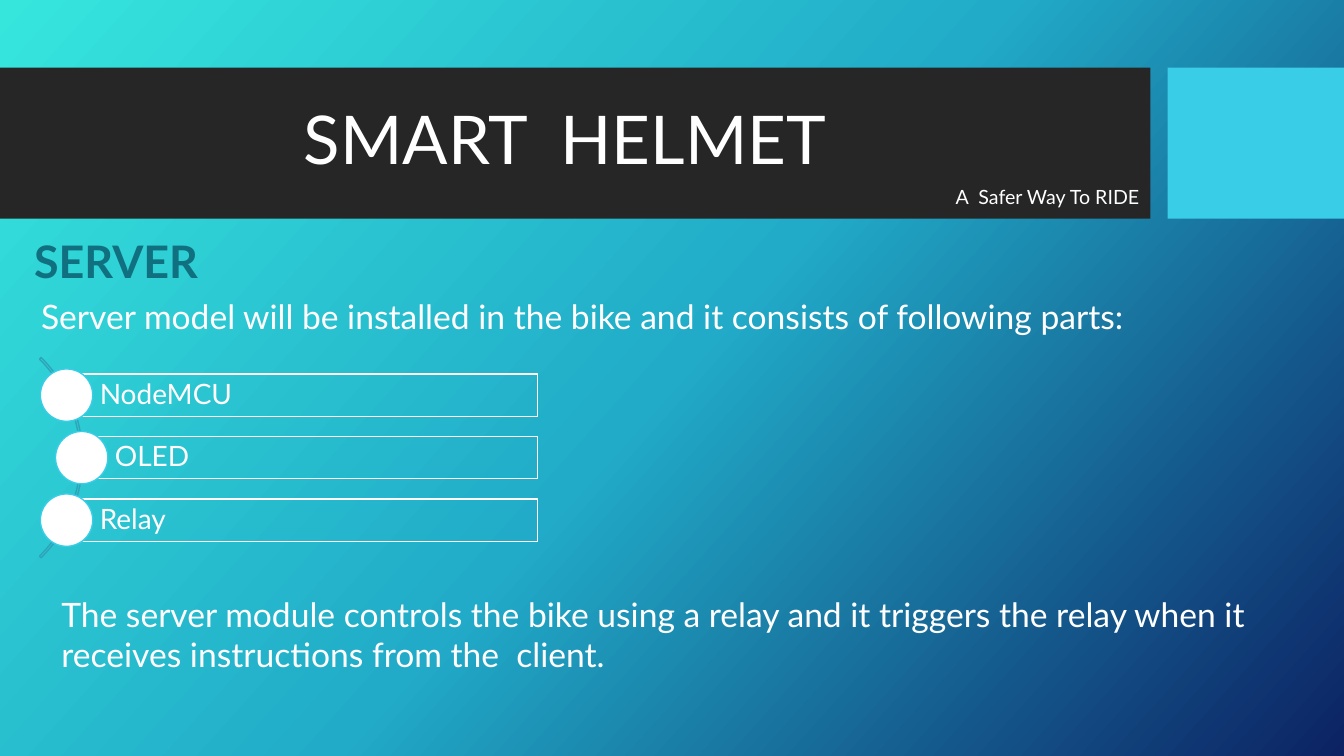
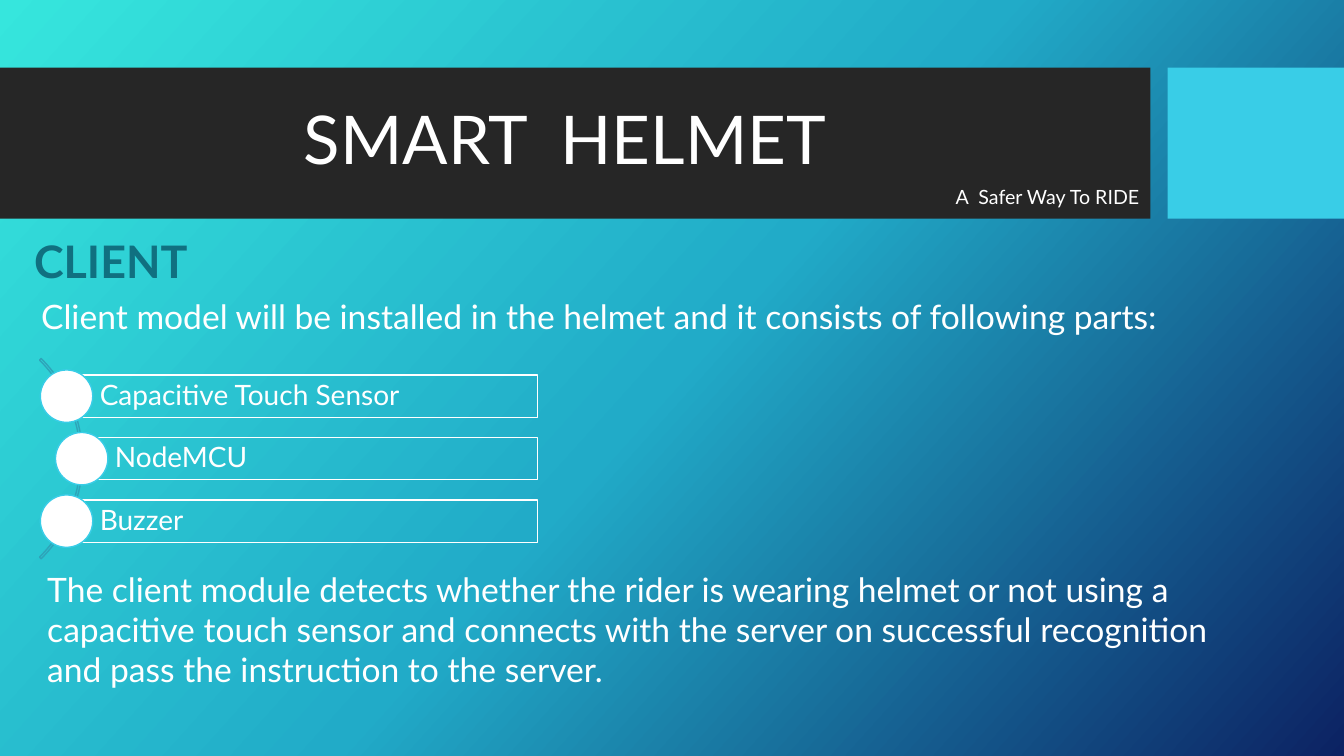
import copy
from dataclasses import dataclass

import pptx
import pptx.dml.color
import pptx.enum.shapes
import pptx.enum.text
import pptx.util

Inches = pptx.util.Inches
Shape = pptx.enum.shapes.MSO_SHAPE
Align = pptx.enum.text.PP_ALIGN
Anchor = pptx.enum.text.MSO_ANCHOR

TITLE = "SMART  HELMET"
TAGLINE = "A  Safer Way To RIDE"
SLIDES = [
    {
        "heading": "SERVER",
        "intro": "Server model will be installed in the bike and it consists of "
                 "following parts:",
        "parts": ["NodeMCU", "OLED", "Relay"],
        "parts_middle": 4.54,
        "summary": "The server module controls the bike using a relay and it triggers "
                   "the relay when it receives instructions from the  client.",
        "summary_box": (0.51, 5.84, 12.31, 0.91),
    },
    {
        "heading": "CLIENT",
        "intro": "Client model will be installed in the helmet and it consists of "
                 "following parts:",
        "parts": ["Capacitive Touch Sensor", "NodeMCU", "Buzzer"],
        "parts_middle": 4.55,
        "summary": "The client module detects whether the rider is wearing helmet or "
                   "not using a capacitive touch sensor and connects with the server on "
                   "successful recognition and pass the instruction to the server.",
        "summary_box": (0.37, 5.59, 11.89, 1.31),
    },
]


@dataclass(frozen=True)
class Theme:
    font: str = "Lato"
    white: str = "FFFFFF"
    band: str = "262626"
    accent: str = "39CDE7"
    arc: str = "2EA4B9"
    heading: str = "107080"
    gradient: tuple = ((0, "36E6DD"), (0.5, "21ABC8"), (1, "0C2263"))
    gradient_angle: int = 42
    title_size: int = 48
    heading_size: int = 32
    body_size: int = 24
    part_size: int = 20
    tagline_size: int = 14


THEME = Theme()
WIDTH, HEIGHT = 13.33, 7.5
BAND_TOP, BAND_HEIGHT, BAND_WIDTH, BAND_GAP = 0.67, 1.5, 11.41, 0.17
TITLE_BOX = (2.28, 0.93, 6.65, 0.98)
TAGLINE_BOX = (9.38, 1.81, 3.29, 0.47)
HEADING_BOX = (0.24, 2.27, 2.06, 0.64)
INTRO_BOX = (0.31, 2.89, 12.44, 0.5)
PART_PITCH, PART_HEIGHT, PART_RIGHT = 0.62, 0.42, 5.33
PART_LEFTS = (0.66, 0.81, 0.66)
DOT_SIZE = 0.52
ARC_LEFT, ARC_SIZE = -1.99, 2.81
ARC_ADJUSTMENTS = (189, 27, 0.008)


def rgb(value):
    return pptx.dml.color.RGBColor.from_string(value)


def apply(target, formats):
    for name, value in formats.items():
        setattr(target, name, value)


def place(shape, box):
    apply(shape, dict(zip(("left", "top", "width", "height"), map(Inches, box))))


def write(shape, text, size, color=THEME.white, bold=False, paragraph_format=None,
          **frame_format):
    frame = shape.text_frame
    apply(frame, {"word_wrap": True, "auto_size": pptx.enum.text.MSO_AUTO_SIZE.NONE,
                  "vertical_anchor": Anchor.TOP, **frame_format})
    frame.text = text
    paragraph = frame.paragraphs[0]
    apply(paragraph, {"alignment": Align.LEFT, **(paragraph_format or {})})
    apply(paragraph.font, {"name": THEME.font, "size": pptx.util.Pt(size), "bold": bold})
    paragraph.font.color.rgb = rgb(color)


def add_text(slide, box, text, size, **formats):
    write(slide.shapes.add_textbox(*map(Inches, box)), text, size, **formats)


def add_shape(slide, kind, box, fill=None, line=None):
    shape = slide.shapes.add_shape(kind, *map(Inches, box))
    shape.shadow.inherit = False
    if fill:
        shape.fill.solid()
        shape.fill.fore_color.rgb = rgb(fill)
    else:
        shape.fill.background()
    if line:
        shape.line.color.rgb = rgb(line)
        shape.line.width = pptx.util.Pt(1)
    else:
        shape.line.fill.background()
    return shape


def set_background(master):
    fill = master.background.fill
    fill.gradient()
    fill.gradient_angle = 360 - THEME.gradient_angle
    stop_list = fill.gradient_stops._gsLst
    stop_list.insert(1, copy.deepcopy(stop_list[0]))
    for stop, (position, color) in zip(fill.gradient_stops, THEME.gradient):
        stop.position = position
        stop.color.rgb = rgb(color)


def add_master_bands(slide, master):
    """Draw the bands on a slide, then move them behind everything on the master."""
    accent_left = BAND_WIDTH + BAND_GAP
    bands = ((0, BAND_WIDTH, THEME.band),
             (accent_left, WIDTH - accent_left, THEME.accent))
    for index, (left, width, color) in enumerate(bands):
        band = add_shape(slide, Shape.RECTANGLE,
                         (left, BAND_TOP, width, BAND_HEIGHT), color)
        master.shapes._spTree.insert(2 + index, band._element)


def add_parts(slide, parts, middle):
    """Draw the arc and, along it, one dot and one labelled bar for each part."""
    arc = add_shape(slide, Shape.BLOCK_ARC,
                    (ARC_LEFT, middle - ARC_SIZE / 2, ARC_SIZE, ARC_SIZE),
                    line=THEME.arc)
    for index, value in enumerate(ARC_ADJUSTMENTS):
        arc.adjustments[index] = value
    margins = {"margin_left": Inches(0.33),
               **{f"margin_{side}": Inches(0.06) for side in ("top", "right", "bottom")}}
    for index, (part, left) in enumerate(zip(parts, PART_LEFTS)):
        center = middle + (index - (len(parts) - 1) / 2) * PART_PITCH
        bar = add_shape(slide, Shape.RECTANGLE,
                        (left, center - PART_HEIGHT / 2, PART_RIGHT - left, PART_HEIGHT),
                        line=THEME.white)
        write(bar, part, THEME.part_size, paragraph_format={"line_spacing": 0.9},
              vertical_anchor=Anchor.MIDDLE, **margins)
        add_shape(slide, Shape.OVAL,
                  (left - DOT_SIZE / 2, center - DOT_SIZE / 2, DOT_SIZE, DOT_SIZE),
                  THEME.white, THEME.accent)


def add_content(slide, content):
    place(slide.shapes.title, TITLE_BOX)
    write(slide.shapes.title, TITLE, THEME.title_size, vertical_anchor=Anchor.MIDDLE,
          paragraph_format={"alignment": Align.CENTER, "line_spacing": 0.9})
    add_text(slide, TAGLINE_BOX, TAGLINE, THEME.tagline_size,
             paragraph_format={"line_spacing": 0.9})
    add_text(slide, HEADING_BOX, content["heading"], THEME.heading_size,
             color=THEME.heading, bold=True)
    add_text(slide, INTRO_BOX, content["intro"], THEME.body_size)
    add_parts(slide, content["parts"], content["parts_middle"])
    add_text(slide, content["summary_box"], content["summary"], THEME.body_size)


def main():
    presentation = pptx.Presentation()
    apply(presentation, {"slide_width": Inches(WIDTH), "slide_height": Inches(HEIGHT)})
    master = presentation.slide_master
    title_only = presentation.slide_layouts.get_by_name("Title Only")
    set_background(master)
    slides = [presentation.slides.add_slide(title_only) for _ in SLIDES]
    add_master_bands(slides[0], master)
    for slide, content in zip(slides, SLIDES):
        add_content(slide, content)
    presentation.save("out.pptx")


if __name__ == "__main__":
    main()
